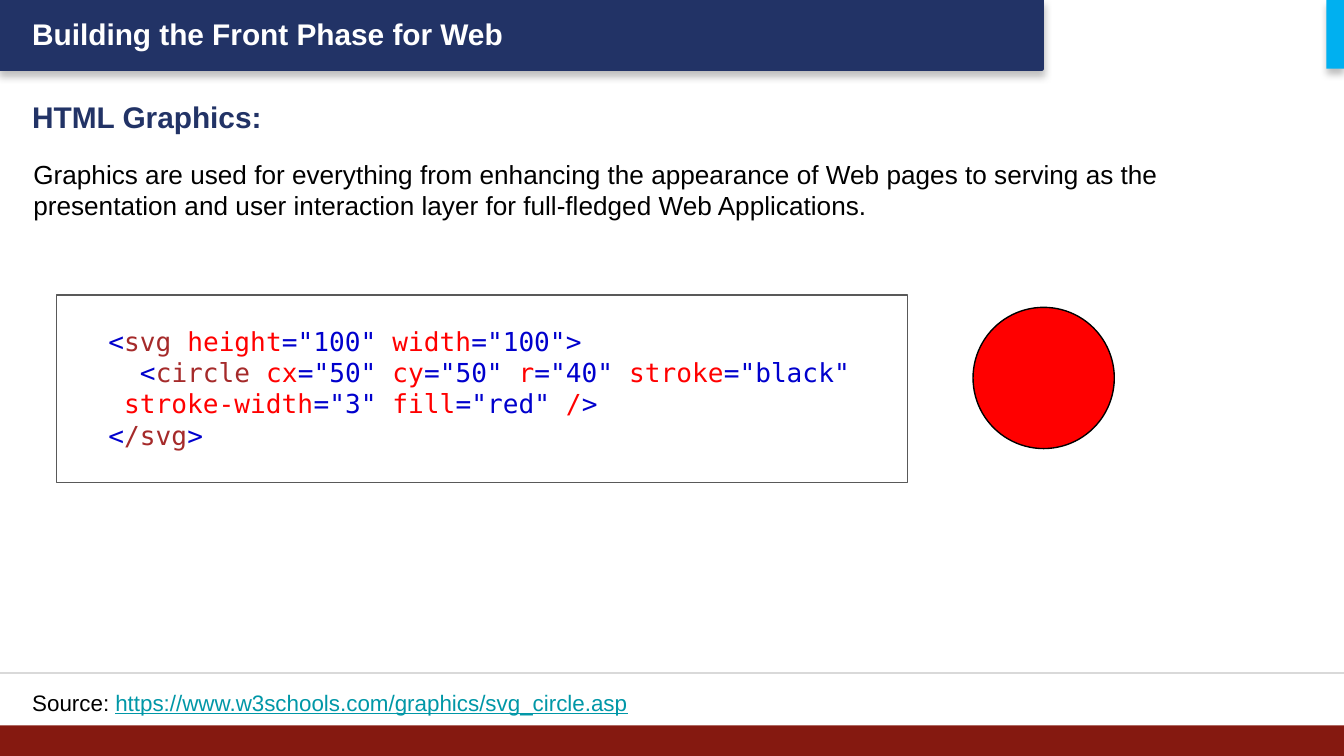
from lxml.etree import SubElement
from pptx import Presentation
from pptx.dml.color import RGBColor
from pptx.enum.shapes import MSO_CONNECTOR, MSO_SHAPE
from pptx.enum.text import MSO_AUTO_SIZE
from pptx.oxml.ns import qn
from pptx.util import Cm, Pt

NAVY, BLACK, WHITE = "223366", "000000", "FFFFFF"
BLUE, BROWN, RED = "0000CD", "A52A2A", "FF0000"
MARGIN, FOOT = 0.36, 12.9
CODE = [
    [("<", BLUE), ("svg", BROWN), (" height", RED), ('="100"', BLUE),
     (" width", RED), ('="100">', BLUE)],
    [("  <", BLUE), ("circle", BROWN), (" cx", RED), ('="50"', BLUE),
     (" cy", RED), ('="50"', BLUE), (" r", RED), ('="40"', BLUE),
     (" stroke", RED), ('="black"', BLUE)],
    [(" stroke-width", RED), ('="3"', BLUE), (" fill", RED),
     ('="red"', BLUE), (" /", RED), (">", BLUE)],
    [("<", BLUE), ("/svg", BROWN), (">", BLUE)],
]


def colour(value):
    """Turn a hex string into a colour."""
    return RGBColor.from_string(value)


def add_span(para, text, size=14, font="Arial", ink=BLACK, bold=False, underline=False):
    """Append formatted text to a paragraph."""
    span = para.add_run()
    span.text = text
    span.font.size = Pt(size)
    span.font.name = font
    span.font.bold = bold
    span.font.underline = underline
    span.font.color.rgb = colour(ink)


class SlideBuilder:
    """Hold the code font and the current page, and draw elements on it."""

    def __init__(self, page, code_font):
        """Keep the page and the code font."""
        self.page = page
        self.code_font = code_font

    def shape(self, kind, left, top, width, height, fill, line=None, weight=0.75, shadow=False):
        """Draw a filled preset shape."""
        shape = self.page.shapes.add_shape(kind, Cm(left), Cm(top), Cm(width), Cm(height))
        shape.shadow.inherit = False
        shape.fill.solid()
        shape.fill.fore_color.rgb = colour(fill)
        if line:
            shape.line.color.rgb = colour(line)
            shape.line.width = Pt(weight)
        else:
            shape.line.fill.background()
        if shadow:
            effects = shape.element.spPr.find(qn("a:effectLst"))
            outer = SubElement(effects, qn("a:outerShdw"), blurRad=str(Pt(4)),
                               dist=str(Pt(3)), dir="5400000", rotWithShape="0")
            tint = SubElement(outer, qn("a:srgbClr"), val=BLACK)
            SubElement(tint, qn("a:alpha"), val="25000")

    def frame(self, left, top, width, height):
        """Add a wrapping text box and return its text frame."""
        box = self.page.shapes.add_textbox(Cm(left), Cm(top), Cm(width), Cm(height))
        box.text_frame.word_wrap = True
        box.text_frame.auto_size = MSO_AUTO_SIZE.SHAPE_TO_FIT_TEXT
        return box.text_frame

    def text(self, left, top, width, height, text, **style):
        """Write one paragraph in a single format."""
        add_span(self.frame(left, top, width, height).paragraphs[0], text, **style)

    def code(self, left, top, width, height, lines):
        """Write coloured code, one paragraph a line."""
        frame = self.frame(left, top, width, height)
        for index, spans in enumerate(lines):
            para = frame.add_paragraph() if index else frame.paragraphs[0]
            for text, ink in spans:
                add_span(para, text, font=self.code_font, ink=ink)

    def rule(self, top, width, ink):
        """Draw a thin horizontal line from the left edge."""
        line = self.page.shapes.add_connector(
            MSO_CONNECTOR.STRAIGHT, 0, Cm(top), Cm(width), Cm(top))
        line.line.color.rgb = colour(ink)
        line.line.width = Pt(0.75)
        SubElement(line.element.spPr, qn("a:effectLst"))


def main():
    """Build the slide and save the deck."""
    deck = Presentation()
    deck.slide_width, deck.slide_height = Cm(25.4), Cm(14.29)
    builder = SlideBuilder(deck.slides.add_slide(deck.slide_layouts[6]), "DejaVu Sans Mono")

    builder.shape(MSO_SHAPE.RECTANGLE, 0, 0, 19.69, 1.3, NAVY, NAVY, 2, shadow=True)
    builder.shape(MSO_SHAPE.RECTANGLE, 0, 13.71, 25.4, 0.58, "851910")
    builder.text(MARGIN, 0.18, 13.69, 0.94, "Building the Front Phase for Web",
                 size=16, ink=WHITE, bold=True)
    builder.shape(MSO_SHAPE.RECTANGLE, 25.07, 0, 0.33, 1.3, "00B0F0", shadow=True)

    builder.text(MARGIN, 1.75, 15.32, 0.94, "HTML Graphics:", size=16, ink=NAVY, bold=True)
    builder.text(0.38, 2.87, 24.28, 1.45,
                 "Graphics are used for everything from enhancing the appearance of Web pages "
                 "to serving as the presentation and user interaction layer for full-fledged "
                 "Web Applications.")

    builder.text(1.93, FOOT, 13.18, 0.76, "https://www.w3schools.com/graphics/svg_circle.asp",
                 size=12, ink="0097A7", underline=True)
    builder.text(MARGIN, FOOT, 2.01, 0.76, "Source:", size=12)
    builder.rule(12.72, 25.4, "D9D9D9")

    builder.shape(MSO_SHAPE.RECTANGLE, 1.07, 5.58, 16.08, 3.54, WHITE, "595959")
    builder.code(1.8, 6.02, 14.6, 2.64, CODE)
    builder.shape(MSO_SHAPE.OVAL, 18.39, 5.81, 2.67, 2.67, RED, BLACK)

    deck.save("out.pptx")


if __name__ == "__main__":
    main()
